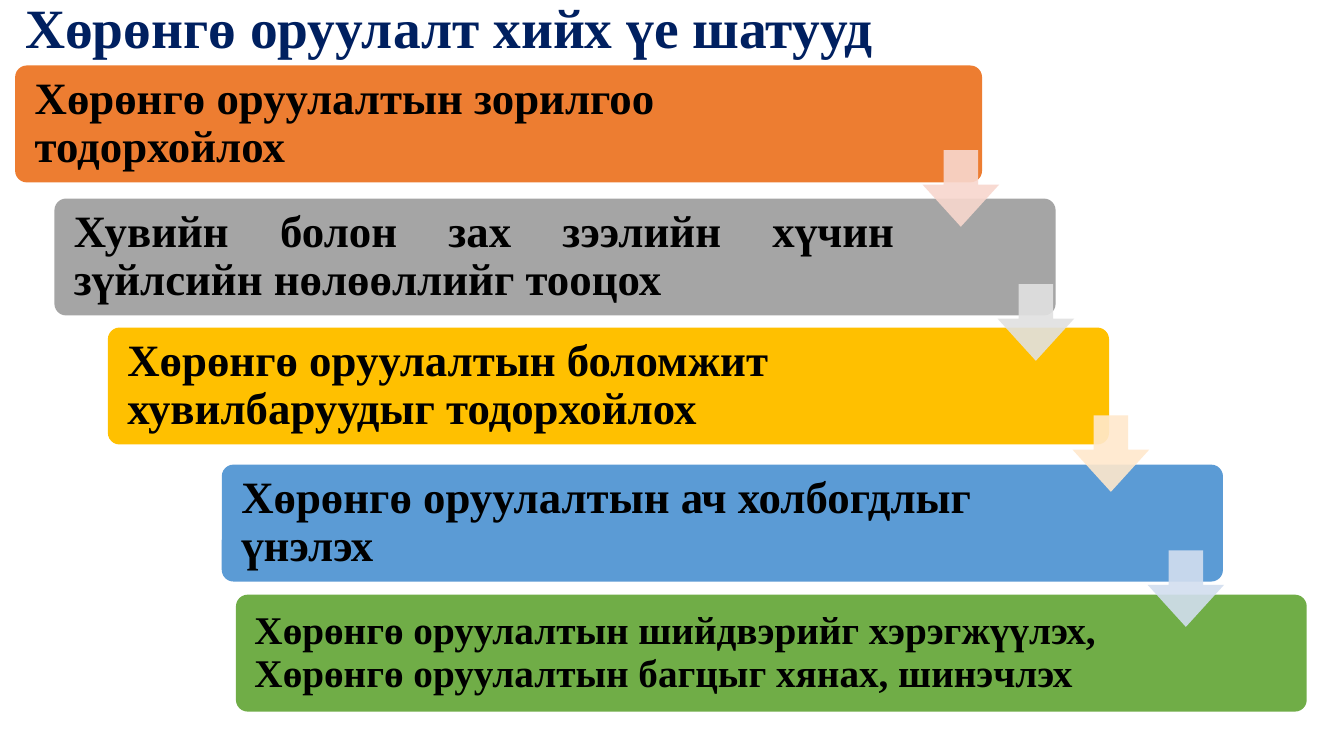
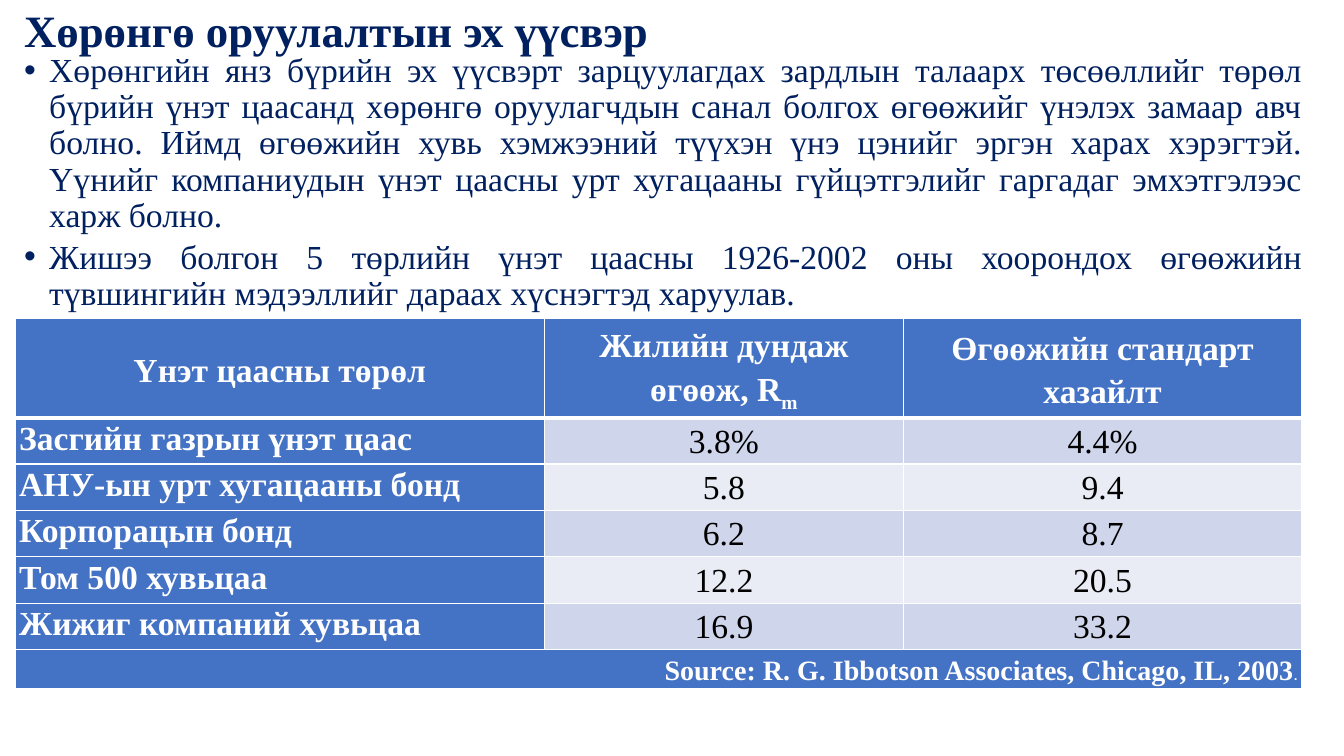
from lxml import etree
from pptx import Presentation
from pptx.dml.color import RGBColor
from pptx.enum.shapes import MSO_SHAPE
from pptx.enum.text import MSO_ANCHOR, PP_ALIGN
from pptx.oxml.ns import qn
from pptx.util import Pt

PX = 9144  # 100 px to the inch
LEFT, CENTER, RIGHT, JUSTIFY = PP_ALIGN.LEFT, PP_ALIGN.CENTER, PP_ALIGN.RIGHT, PP_ALIGN.JUSTIFY
TOP, MIDDLE = MSO_ANCHOR.TOP, MSO_ANCHOR.MIDDLE
ROUND_RECT, DOWN_ARROW = MSO_SHAPE.ROUNDED_RECTANGLE, MSO_SHAPE.DOWN_ARROW

# Shared look
FONT = "Times New Roman"
NAVY, BLACK, WHITE, BLUE = "002060", "000000", "FFFFFF", "4472C4"
BANDS = ("CFD5EA", "E9EBF5")

# Slide 1: title, then steps as (text, box, fill, size, align, side margins)
STEPS_TITLE = "Хөрөнгө оруулалт хийх үе шатууд"
STEPS = [
    ("Хөрөнгө оруулалтын зорилгоо тодорхойлох",
     (15, 65, 959, 116), "ED7D31", 32, LEFT, (16, 144)),
    ("Хувийн болон зах зээлийн хүчин зүйлсийн нөлөөллийг тооцох",
     (54, 197, 993, 116), "A5A5A5", 32, JUSTIFY, (16, 156)),
    ("Хөрөнгө оруулалтын боломжит хувилбаруудыг тодорхойлох",
     (107, 325, 993, 116), "FFC000", 32, LEFT, (16, 156)),
    ("Хөрөнгө оруулалтын ач холбогдлыг үнэлэх",
     (220, 461, 993, 116), "5B9BD5", 32, LEFT, (16, 156)),
    ("Хөрөнгө оруулалтын шийдвэрийг хэрэгжүүлэх, Хөрөнгө оруулалтын багцыг хянах, шинэчлэх",
     (234, 590, 1062, 116), "70AD47", 28, LEFT, (15, 176)),
]
ARROWS = [(149, "F8D7CE"), (282, "E1E1E1"), (412, "FFE8CC"), (546, "D2DEEF")]
ARROW_LEFT, ARROW_STEP, ARROW_SIZE = 915, 74.4, 76

# Slide 2: title, bullets and table
SOURCES_TITLE = "Хөрөнгө оруулалтын эх үүсвэр"
BULLETS = [
    "Хөрөнгийн янз бүрийн эх үүсвэрт зарцуулагдах зардлын талаарх төсөөллийг төрөл "
    "бүрийн үнэт цаасанд хөрөнгө оруулагчдын санал болгох өгөөжийг үнэлэх замаар авч "
    "болно. Иймд өгөөжийн хувь хэмжээний түүхэн үнэ цэнийг эргэн харах хэрэгтэй. "
    "Үүнийг компаниудын үнэт цаасны урт хугацааны гүйцэтгэлийг гаргадаг эмхэтгэлээс "
    "харж болно.",
    "Жишээ болгон 5 төрлийн үнэт цаасны 1926-2002 оны хоорондох өгөөжийн түвшингийн "
    "мэдээллийг дараах хүснэгтэд харуулав.",
]
HEADER = ["Үнэт цаасны төрөл", "Жилийн дундаж өгөөж, R", "Өгөөжийн стандарт хазайлт"]
SUBSCRIPTS = {1: "m"}
ROWS = [
    ("Засгийн газрын үнэт цаас", "3.8%", "4.4%"),
    ("АНУ-ын урт хугацааны бонд", "5.8", "9.4"),
    ("Корпорацын бонд", "6.2", "8.7"),
    ("Том 500 хувьцаа", "12.2", "20.5"),
    ("Жижиг компаний хувьцаа", "16.9", "33.2"),
]
SOURCE = "Source: R. G. Ibbotson Associates, Chicago, IL, 2003"
COLUMNS = [525, 356, 395]
HEIGHTS = [90] + [42] * len(ROWS) + [35]


def px(n):
    return round(n * PX)


def rgb(value):
    return RGBColor.from_string(value)


def add_run(p, text, color, size, bold=False, name=FONT):
    r = p.add_run()
    r.text = text
    for key, value in {"name": name, "size": Pt(size), "bold": bold}.items():
        setattr(r.font, key, value)
    r.font.color.rgb = rgb(color)
    return r


def format_paragraph(p, align, spacing=0.9):
    p.alignment, p.line_spacing = align, spacing


def set_frame(tf, anchor, margins):
    names = ("margin_left", "margin_top", "margin_right", "margin_bottom")
    values = {"word_wrap": True, "vertical_anchor": anchor}
    values.update(zip(names, map(px, margins)))
    for key, value in values.items():
        setattr(tf, key, value)


def add_box(s, box, anchor):
    tf = s.shapes.add_textbox(*map(px, box)).text_frame
    set_frame(tf, anchor, (10, 5, 10, 5))
    return tf


def add_title(s, text, box, size, align):
    p = add_box(s, box, MIDDLE).paragraphs[0]
    format_paragraph(p, align)
    add_run(p, text, NAVY, size, True)


def add_filled(s, kind, box, color, adjustments):
    sp = s.shapes.add_shape(kind, *map(px, box))
    sp.shadow.inherit = False
    sp.fill.solid()
    sp.fill.fore_color.rgb = rgb(color)
    sp.line.fill.background()
    for i, value in enumerate(adjustments):
        sp.adjustments[i] = value
    return sp


def add_bullet(p):
    pPr = p._p.get_or_add_pPr()
    pPr.set("marL", str(px(25)))
    pPr.set("indent", str(px(-25)))
    etree.SubElement(pPr, qn("a:buFont"), typeface="Arial")
    etree.SubElement(pPr, qn("a:buChar"), char="•")


def style_cell(cell, fill, anchor, top=1, bottom=1):
    cell.fill.solid()
    cell.fill.fore_color.rgb = rgb(fill)
    for key, value in {"margin_left": px(4), "margin_right": px(4), "margin_top": 0,
                       "margin_bottom": 0, "vertical_anchor": anchor}.items():
        setattr(cell, key, value)
    tcPr = cell._tc.get_or_add_tcPr()
    for i, (side, width) in enumerate(zip("LRTB", (1, 1, top, bottom))):
        ln = etree.Element(qn(f"a:ln{side}"), w=str(Pt(width)))
        line_fill = etree.SubElement(ln, qn("a:solidFill"))
        etree.SubElement(line_fill, qn("a:srgbClr"), val=WHITE)
        tcPr.insert(i, ln)


def build_steps(s):
    add_title(s, STEPS_TITLE, (15, 6, 1290, 49), 39.6, LEFT)
    for text, box, fill, size, align, (left, right) in STEPS:
        sp = add_filled(s, ROUND_RECT, box, fill, [0.1])
        set_frame(sp.text_frame, MIDDLE, (left, 13, right, 13))
        p = sp.text_frame.paragraphs[0]
        format_paragraph(p, align)
        add_run(p, text, BLACK, size, True)
    for i, (top, color) in enumerate(ARROWS):
        box = (ARROW_LEFT + i * ARROW_STEP, top, ARROW_SIZE, ARROW_SIZE)
        sp = add_filled(s, DOWN_ARROW, box, color, [0.45, 0.55])
        for clr in sp._element.spPr.iter(qn("a:srgbClr")):
            etree.SubElement(clr, qn("a:alpha"), val="90000")


def build_table(s):
    frame = s.shapes.add_table(len(HEIGHTS), len(COLUMNS),
                               *map(px, (15, 316, sum(COLUMNS), sum(HEIGHTS))))
    table = frame.table
    table.first_row = table.horz_banding = False
    for column, width in zip(table.columns, COLUMNS):
        column.width = px(width)
    for row, height in zip(table.rows, HEIGHTS):
        row.height = px(height)

    # Header
    for c, text in enumerate(HEADER):
        cell = table.cell(0, c)
        style_cell(cell, BLUE, MIDDLE, bottom=3)
        p = cell.text_frame.paragraphs[0]
        format_paragraph(p, CENTER, 1.15)
        add_run(p, text, WHITE, 24, True)
        if c in SUBSCRIPTS:
            r = add_run(p, SUBSCRIPTS[c], WHITE, 24, True)
            r._r.get_or_add_rPr().set("baseline", "-25000")

    # Securities
    for i, values in enumerate(ROWS):
        for c, text in enumerate(values):
            label = c == 0
            cell = table.cell(i + 1, c)
            style_cell(cell, BLUE if label else BANDS[i % 2], TOP, top=1 if i else 3)
            p = cell.text_frame.paragraphs[0]
            format_paragraph(p, LEFT if label else CENTER, 1.07 if label else 1.15)
            add_run(p, text, WHITE if label else BLACK, 24, label)

    # Source line
    last = len(HEIGHTS) - 1
    cell = table.cell(last, 0)
    cell.merge(table.cell(last, len(COLUMNS) - 1))
    style_cell(cell, BLUE, MIDDLE)
    p = cell.text_frame.paragraphs[0]
    format_paragraph(p, RIGHT, 1.15)
    add_run(p, SOURCE, WHITE, 20, True)
    add_run(p, ".", WHITE, 10, True, "Calibri")


def build_sources(s):
    add_title(s, SOURCES_TITLE, (14, 11, 1150, 43), 32, JUSTIFY)
    tf = add_box(s, (14, 48, 1287, 279), TOP)
    for i, text in enumerate(BULLETS):
        p = tf.add_paragraph() if i else tf.paragraphs[0]
        add_bullet(p)
        format_paragraph(p, JUSTIFY)
        if i:
            p.space_before = Pt(4)
        add_run(p, text, NAVY, 24)
    build_table(s)


def main():
    prs = Presentation()
    prs.slide_width, prs.slide_height = px(1333), px(750)
    for build in (build_steps, build_sources):
        build(prs.slides.add_slide(prs.slide_layouts[6]))
    prs.save("out.pptx")


if __name__ == "__main__":
    main()
